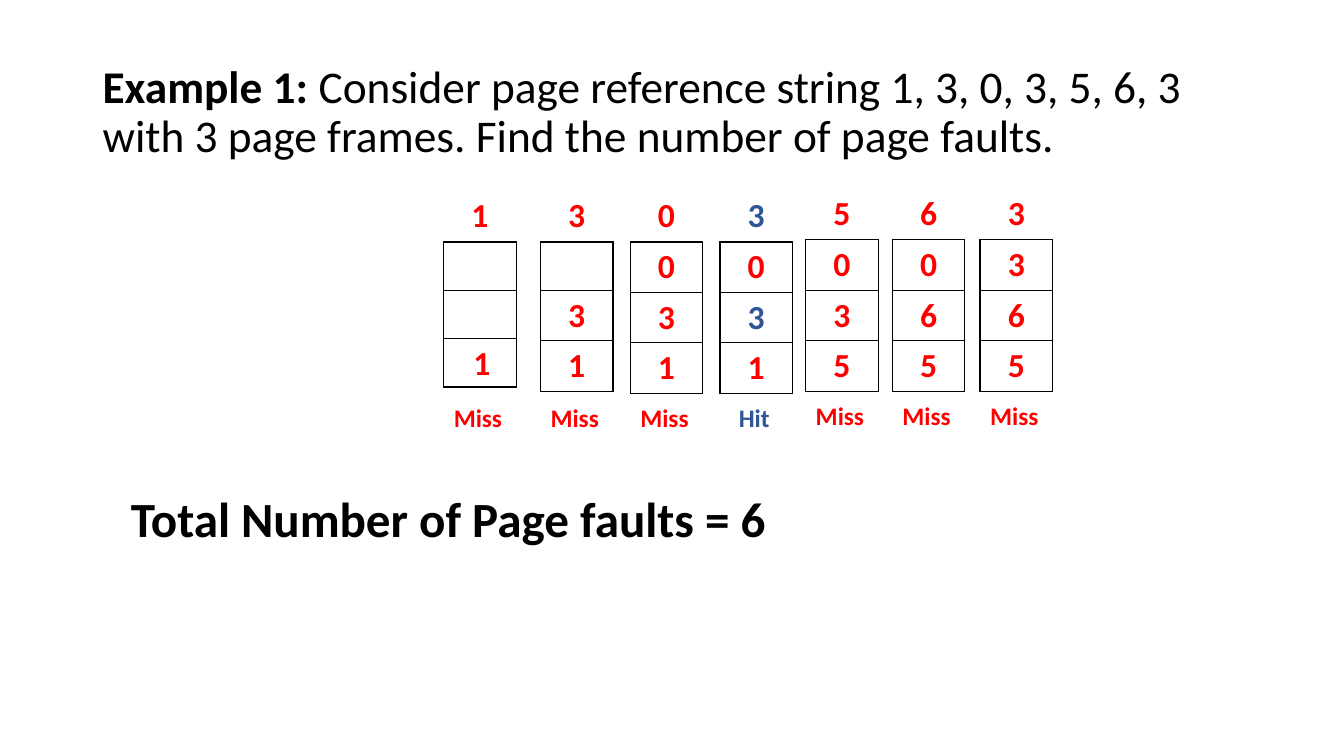
from lxml.etree import SubElement
from pptx import Presentation
from pptx.dml.color import RGBColor
from pptx.enum.text import MSO_ANCHOR, PP_ALIGN
from pptx.oxml.ns import qn
from pptx.util import Inches, Pt

COLORS = {"text": "000000", "miss": "FF0000", "hit": "2F5597", "border": "000000"}
FONT = "Calibri"
QUESTION = [
    ("Example 1:\u00a0", True),
    ("Consider page reference string 1, 3, 0, 3, 5, 6, 3 "
     "with 3 page frames. Find the number of page faults.\u00a0", False),
]
ANSWER = [("Total Number of Page faults = 6", True)]

STEPS = [
    (4.40, 2.40, "1", ["", "", ""], "Miss"),
    (5.36, 2.40, "3", ["", "3", "1"], "Miss"),
    (6.25, 2.40, "0", ["0", "3", "1"], "Miss"),
    (7.14, 2.40, "3", ["0", "3", "1"], "Hit"),
    (7.99, 2.38, "5", ["0", "3", "5"], "Miss"),
    (8.85, 2.38, "6", ["0", "6", "5"], "Miss"),
    (9.72, 2.38, "3", ["3", "6", "5"], "Miss"),
]
FRAME_WIDTH, FRAME_HEIGHT, FILLED_HEIGHT = 0.72, 0.48, 0.5
LABEL_WIDTH = 0.68


def style(font, size, color, bold=True):
    font.name = FONT
    font.size = Pt(size)
    font.bold = bold
    font.color.rgb = RGBColor.from_string(COLORS[color])


def add_text(page, left, top, width, height):
    box = page.shapes.add_textbox(*map(Inches, (left, top, width, height)))
    box.text_frame.word_wrap = True
    return box.text_frame


def add_heading(page, left, top, spans, size):
    frame = add_text(page, left, top, 11.5, 1.45)
    frame.vertical_anchor = MSO_ANCHOR.MIDDLE
    para = frame.paragraphs[0]
    para.line_spacing = 0.9
    for text, bold in spans:
        span = para.add_run()
        span.text = text
        style(span.font, size, "text", bold)


def write_centred(para, text, size, color):
    para.text = text
    para.alignment = PP_ALIGN.CENTER
    style(para.font, size, color)


def add_label(page, left, top, height, text, size, color):
    frame = add_text(page, left, top, LABEL_WIDTH, height)
    write_centred(frame.paragraphs[0], text, size, color)


def add_borders(cell):
    properties = cell._tc.get_or_add_tcPr()
    for position, side in enumerate(("a:lnL", "a:lnR", "a:lnT", "a:lnB")):
        line = SubElement(properties, qn(side), w=str(Pt(1)))
        fill = SubElement(line, qn("a:solidFill"))
        SubElement(fill, qn("a:srgbClr"), val=COLORS["border"])
        properties.remove(line)
        properties.insert(position, line)


def add_frames(page, left, top, values, reference, outcome):
    rows = len(values)
    table = page.shapes.add_table(
        rows, 1, Inches(left), Inches(top), Inches(FRAME_WIDTH), Inches(FRAME_HEIGHT * rows)
    ).table
    table.first_row = table.horz_banding = False
    for row, value in enumerate(values):
        table.rows[row].height = Inches(FILLED_HEIGHT if value else FRAME_HEIGHT)
        cell = table.cell(row, 0)
        cell.fill.background()
        add_borders(cell)
        if value:
            color = "hit" if outcome == "Hit" and value == reference else "miss"
            write_centred(cell.text_frame.paragraphs[0], value, 24, color)


def main():
    deck = Presentation()
    deck.slide_width, deck.slide_height = Inches(13.33), Inches(7.5)
    page = deck.slides.add_slide(deck.slide_layouts[6])
    add_heading(page, 0.92, 0.4, QUESTION, 32.4)
    for left, top, reference, values, outcome in STEPS:
        color = outcome.lower()
        add_frames(page, left, top, values, reference, outcome)
        add_label(page, left + 0.02, top - 0.53, 0.5, reference, 24, color)
        add_label(page, left, top + 1.54, 0.4, outcome, 18, color)
    first_left, first_top, first_reference = STEPS[0][:3]
    add_label(page, first_left + 0.04, first_top + 0.94, 0.5, first_reference, 24, "miss")
    add_heading(page, 1.2, 4.45, ANSWER, 35.1)
    deck.save("out.pptx")


if __name__ == "__main__":
    main()
